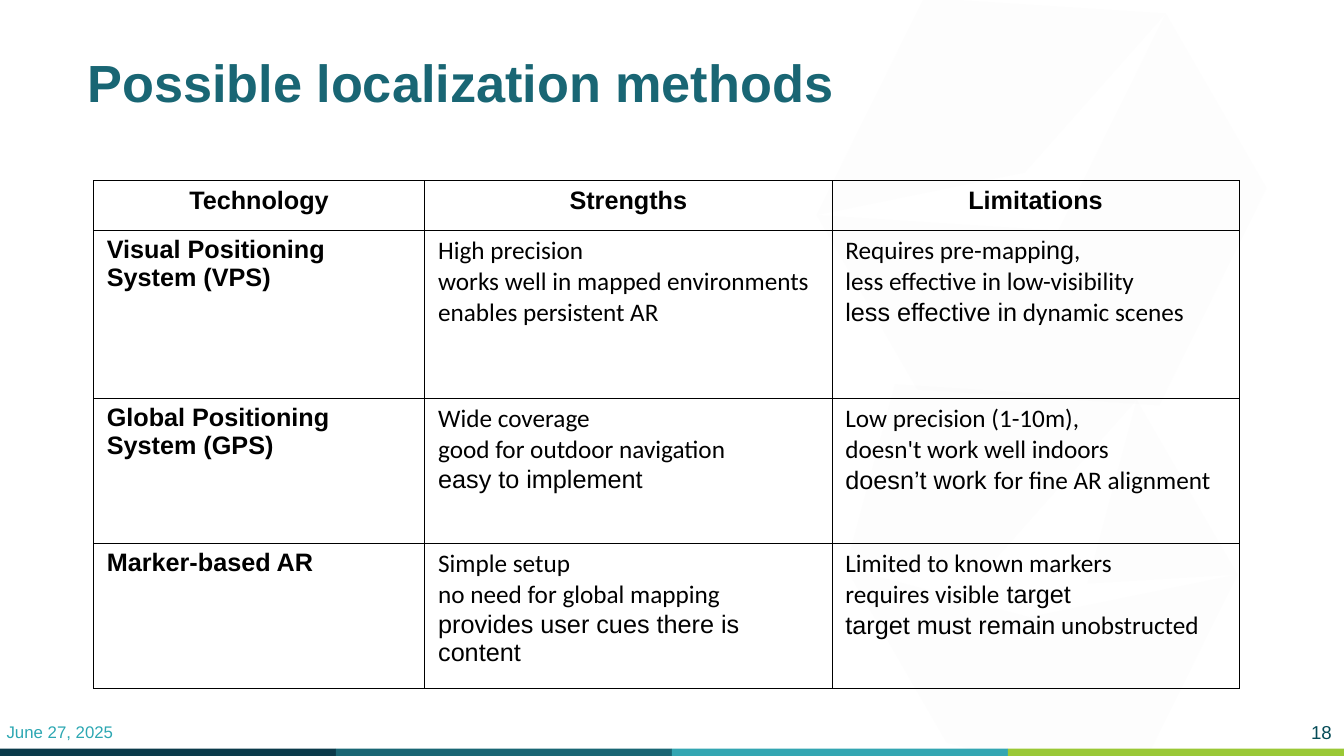
from math import cos, radians, sin

from lxml.etree import SubElement
from pptx import Presentation
from pptx.dml.color import RGBColor
from pptx.enum.shapes import MSO_SHAPE
from pptx.enum.text import MSO_ANCHOR, MSO_AUTO_SIZE, PP_ALIGN
from pptx.oxml import parse_xml
from pptx.oxml.ns import nsdecls, qn
from pptx.util import Inches, Pt

STRIPE_COLORS = ["0A3A4A", "196674", "33A6B2", "9AC836"]
COLUMN_WIDTHS = [4.93, 6.06, 6.06]
ROW_HEIGHTS = [0.74, 2.5, 2.16, 2.16]
ARIAL, CALIBRI = "Arial", "Calibri"

HEADERS = ["Technology", "Strengths", "Limitations"]
# Each body cell is a list of paragraphs; each paragraph is a list of (text, font) runs.
METHODS = [
    (
        "Visual Positioning System (VPS)",
        [
            [("High precision", CALIBRI)],
            [("works well in mapped environments enables persistent AR", CALIBRI)],
        ],
        [
            [("Requires pre-mapp", CALIBRI), ("ing", ARIAL), (",", CALIBRI)],
            [("less effective in low-visibility", CALIBRI)],
            [("less effective in", ARIAL), (" dynamic scenes", CALIBRI)],
        ],
    ),
    (
        "Global Positioning System (GPS)",
        [
            [("Wide coverage", CALIBRI)],
            [("good for outdoor navigation", CALIBRI)],
            [("easy to implement", ARIAL)],
        ],
        [
            [("Low precision (1-10m),", CALIBRI)],
            [("doesn't work well indoors", CALIBRI)],
            [("doesn’t work ", ARIAL), ("for fine AR alignment", CALIBRI)],
        ],
    ),
    (
        "Marker-based AR",
        [
            [("Simple setup", CALIBRI)],
            [("no need for global mapping", CALIBRI)],
            [("provides user cues there is content", ARIAL)],
        ],
        [
            [("Limited to known markers", CALIBRI)],
            [("requires visible", CALIBRI), (" target", ARIAL)],
            [("target must remain", ARIAL), (" unobstructed", CALIBRI)],
        ],
    ),
]


def color(value):
    return RGBColor.from_string(value)


class SlideBuilder:
    title_color = "196674"
    number_color = "064C58"
    date_color = "2CA7B2"
    table_color = "000000"
    table_size = 27

    def __init__(self, slide):
        self.slide = slide

    def fill(self, shape, value):
        shape.fill.solid()
        shape.fill.fore_color.rgb = color(value)
        shape.line.fill.background()
        shape.shadow.inherit = False

    def hexagon(self, center_x, center_y, side=3.09, gap=0.1):
        """Draw six faint triangles, each moved outwards from a common centre."""
        builder = None
        for direction in range(30, 390, 60):
            angle = radians(direction)
            tip = (center_x + gap * cos(angle), center_y + gap * sin(angle))
            corners = [
                (tip[0] + side * cos(radians(direction + turn)),
                 tip[1] + side * sin(radians(direction + turn)))
                for turn in (-30, 30)
            ]
            if builder is None:
                builder = self.slide.shapes.build_freeform(*tip, scale=Inches(1))
            else:
                builder.move_to(*tip)
            builder.add_line_segments(corners, close=True)
        shape = builder.convert_to_shape()
        shape.rotation = 240
        self.fill(shape, "E5E5E5")
        fill_color = shape.fill._xPr.find(qn("a:solidFill"))[0]
        SubElement(fill_color, qn("a:alpha"), val="6000")

    def stripe(self, left, value):
        shape = self.slide.shapes.add_shape(
            MSO_SHAPE.RECTANGLE, Inches(left), Inches(11.14), Inches(5), Inches(0.11))
        self.fill(shape, value)

    def run(self, paragraph, text, size, value, font=ARIAL, bold=False):
        run = paragraph.add_run()
        run.text = text
        run.font.name = font
        run.font.size = Pt(size)
        run.font.bold = bold
        run.font.color.rgb = color(value)

    def frame(self, shape, horizontal, vertical):
        """Set up a middle-anchored, wrapping frame and return its first paragraph."""
        frame = shape.text_frame
        frame.word_wrap = True
        frame.auto_size = MSO_AUTO_SIZE.NONE
        frame.vertical_anchor = MSO_ANCHOR.MIDDLE
        frame.margin_left = frame.margin_right = Inches(horizontal)
        frame.margin_top = frame.margin_bottom = Inches(vertical)
        return frame.paragraphs[0]

    def title(self, text):
        title = self.slide.shapes.title
        title.left, title.top = Inches(1.12), Inches(0.55)
        title.width, title.height = Inches(17.76), Inches(1.32)
        paragraph = self.frame(title, 0.18, 0.09)
        paragraph.alignment = PP_ALIGN.LEFT
        self.run(paragraph, text, 56, self.title_color, bold=True)

    def label(self, text, box, margins, size, value, alignment):
        shape = self.slide.shapes.add_textbox(*(Inches(length) for length in box))
        paragraph = self.frame(shape, *margins)
        paragraph.alignment = alignment
        self.run(paragraph, text, size, value)

    def cell(self, cell, paragraphs, bold=False, alignment=PP_ALIGN.LEFT):
        cell.margin_left = cell.margin_right = Inches(0.2)
        cell.margin_top = cell.margin_bottom = Inches(0.08)
        cell.vertical_anchor = MSO_ANCHOR.TOP
        properties = cell._tc.get_or_add_tcPr()
        for side in ("lnL", "lnR", "lnT", "lnB"):
            properties.append(parse_xml(
                f'<a:{side} {nsdecls("a")} w="12700"><a:solidFill>'
                f'<a:srgbClr val="{self.table_color}"/></a:solidFill></a:{side}>'))
        cell.fill.background()
        for index, runs in enumerate(paragraphs):
            frame = cell.text_frame
            paragraph = frame.add_paragraph() if index else frame.paragraphs[0]
            paragraph.alignment = alignment
            for text, font in runs:
                self.run(paragraph, text, self.table_size, self.table_color, font, bold)

    def table(self, headers, methods):
        table = self.slide.shapes.add_table(
            len(methods) + 1, len(headers), Inches(1.39), Inches(2.69),
            Inches(sum(COLUMN_WIDTHS)), Inches(sum(ROW_HEIGHTS))).table
        table.first_row = table.horz_banding = False
        for column, width in zip(table.columns, COLUMN_WIDTHS):
            column.width = Inches(width)
        for row, height in zip(table.rows, ROW_HEIGHTS):
            row.height = Inches(height)
        for index, header in enumerate(headers):
            self.cell(table.cell(0, index), [[(header, ARIAL)]], True, PP_ALIGN.CENTER)
        for index, (name, strengths, limitations) in enumerate(methods, start=1):
            self.cell(table.cell(index, 0), [[(name, ARIAL)]], True)
            self.cell(table.cell(index, 1), strengths)
            self.cell(table.cell(index, 2), limitations)


def main():
    presentation = Presentation()
    presentation.slide_width = Inches(20)
    presentation.slide_height = Inches(11.25)
    builder = SlideBuilder(presentation.slides.add_slide(presentation.slide_layouts[5]))
    for center_y in (8.45, 2.78):
        builder.hexagon(15.46, center_y)
    for index, value in enumerate(STRIPE_COLORS):
        builder.stripe(index * 5, value)
    builder.title("Possible localization methods")
    builder.label("18", (19.06, 10.6, 0.94, 0.6), (0.18, 0.09), 20,
                  builder.number_color, PP_ALIGN.RIGHT)
    builder.label("June 27, 2025", (0, 10.68, 4.6, 0.43), (0.1, 0.05), 18,
                  builder.date_color, PP_ALIGN.LEFT)
    builder.table(HEADERS, METHODS)
    presentation.save("out.pptx")


if __name__ == "__main__":
    main()
